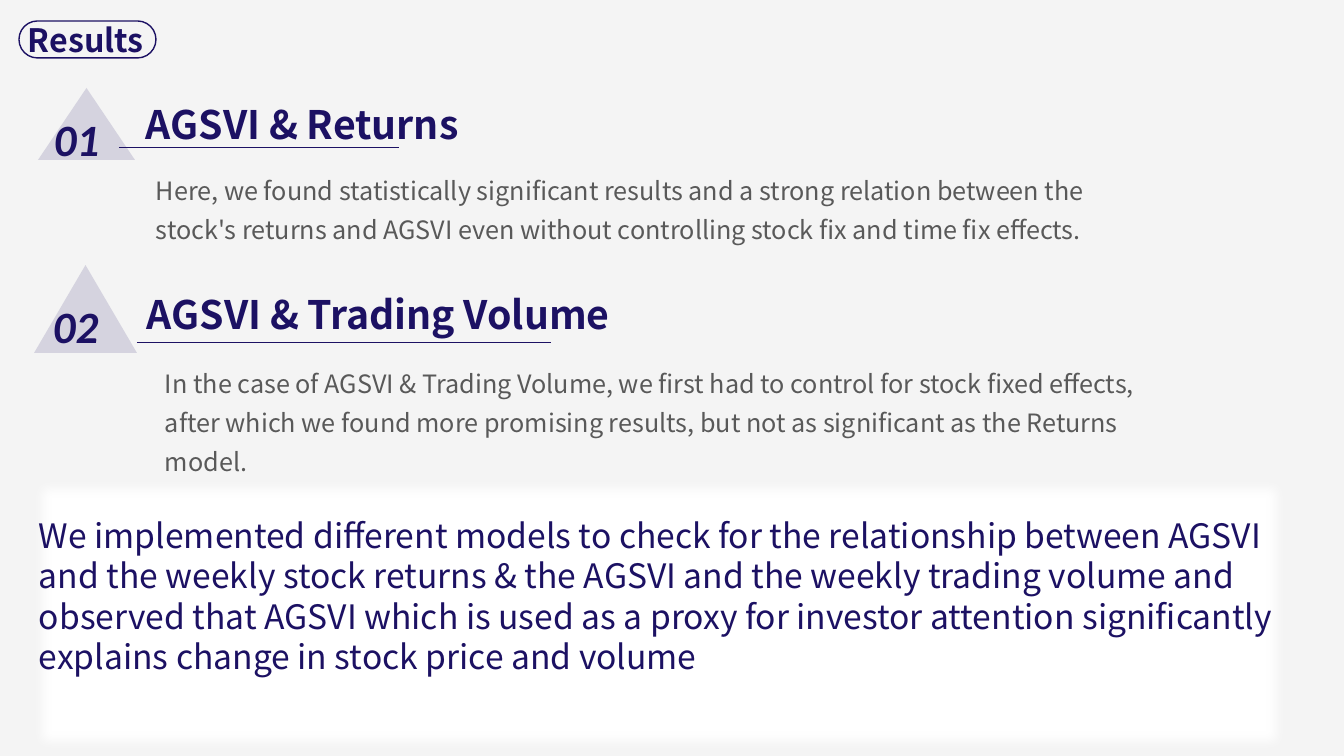
import pptx
import pptx.util
import pptx.dml.color
import pptx.enum.shapes
import pptx.enum.text
import pptx.oxml.ns
from lxml import etree

NAVY = pptx.dml.color.RGBColor(0x1C, 0x11, 0x63)
GRAY = pptx.dml.color.RGBColor(0x59, 0x59, 0x59)
WHITE = pptx.dml.color.RGBColor(0xFF, 0xFF, 0xFF)
PAPER = pptx.dml.color.RGBColor(0xF4, 0xF4, 0xF4)
SANS = "Noto Sans CJK SC"
KINDS = pptx.enum.shapes.MSO_SHAPE
ALIGN = pptx.enum.text.PP_ALIGN
ANCHOR = pptx.enum.text.MSO_ANCHOR

TITLE = {"name": SANS, "size": 23, "bold": True, "color": NAVY}
HEAD = {"name": SANS, "size": 28, "bold": True, "color": NAVY}
BODY = {"name": SANS, "size": 18, "bold": False, "color": GRAY}
NUMBER = {"name": "Calibri", "size": 32, "bold": True, "italic": True, "color": NAVY}
CLOSING = {"name": SANS, "size": 24, "bold": False, "color": NAVY}


def px(*vals):
    """Turn px into EMU, at 100.8 px to the inch."""
    return [round(v * 914400 / 100.8) for v in vals]


def write(shape, text, style, align=ALIGN.LEFT, anchor=ANCHOR.TOP, space=1.0):
    frame = shape.text_frame
    frame.word_wrap = True
    frame.auto_size = pptx.enum.text.MSO_AUTO_SIZE.NONE
    frame.vertical_anchor = anchor
    para = frame.paragraphs[0]
    para.alignment = align
    para.line_spacing = space
    run = para.add_run()
    run.text = text
    for key, val in style.items():
        if key == "color":
            run.font.color.rgb = val
        else:
            setattr(run.font, key, pptx.util.Pt(val) if key == "size" else val)


deck = pptx.Presentation()
deck.slide_width, deck.slide_height = px(1344, 756)
slide = deck.slides.add_slide(deck.slide_layouts[5])
slide.background.fill.solid()
slide.background.fill.fore_color.rgb = PAPER
shapes = slide.shapes

# Title in its pill
title = shapes.title
title.left, title.top, title.width, title.height = px(1, 15, 170, 50)
write(title, "Results", TITLE, ALIGN.CENTER)

pill = shapes.add_shape(KINDS.ROUNDED_RECTANGLE, *px(19, 21, 137, 37))
pill.adjustments[0] = 0.5
pill.shadow.inherit = False
pill.fill.background()
pill.line.color.rgb = NAVY
pill.line.width = pptx.util.Pt(1)

# Numbered findings: text, then px boxes of each part
finds = [
    ("01", "AGSVI & Returns",
     "Here, we found statistically significant results and a strong relation "
     "between the stock's returns and AGSVI even without controlling stock fix "
     "and time fix effects.",
     (38, 88, 97, 72), (44, 107, 89, 65), (136, 95, 1000, 57),
     (146, 161, 1010, 87), (119, 147, 399, 147)),
    ("02", "AGSVI & Trading Volume",
     "In the case of AGSVI & Trading Volume, we first had to control for stock "
     "fixed effects, after which we found more promising results, but not as "
     "significant as the Returns model.",
     (34, 265, 103, 88), (43, 294, 95, 65), (137, 285, 1000, 57),
     (155, 354, 1010, 87), (137, 342, 551, 342)),
]
for num, head, body, peak, spot, top, block, rule in finds:
    mark = shapes.add_shape(KINDS.ISOSCELES_TRIANGLE, *px(*peak))
    mark.shadow.inherit = False
    mark.line.fill.background()
    mark.fill.solid()
    mark.fill.fore_color.rgb = NAVY
    tint = mark.fill._xPr.find(".//" + pptx.oxml.ns.qn("a:srgbClr"))
    etree.SubElement(tint, pptx.oxml.ns.qn("a:alpha"), val="14000")

    write(shapes.add_textbox(*px(*spot)), num, NUMBER)
    write(shapes.add_textbox(*px(*top)), head, HEAD)
    write(shapes.add_textbox(*px(*block)), body, BODY, space=1.3)

    line = shapes.add_connector(pptx.enum.shapes.MSO_CONNECTOR.STRAIGHT, *px(*rule))
    line.line.color.rgb = NAVY
    line.line.width = pptx.util.Pt(0.5)
    etree.SubElement(line._element.spPr, pptx.oxml.ns.qn("a:effectLst"))

# Closing panel with soft edges
panel = shapes.add_shape(KINDS.RECTANGLE, *px(29, 475, 1262, 281))
panel.shadow.inherit = False
panel.fill.solid()
panel.fill.fore_color.rgb = WHITE
panel.line.fill.background()
glow = panel._element.spPr.find(pptx.oxml.ns.qn("a:effectLst"))
etree.SubElement(glow, pptx.oxml.ns.qn("a:softEdge"), rad="112500")
panel.text_frame.margin_bottom = px(45)[0]
write(panel,
      "We implemented different models to check for the relationship between "
      "AGSVI and the weekly stock returns & the AGSVI and the weekly trading "
      "volume and observed that AGSVI which is used as a proxy for investor "
      "attention significantly explains change in stock price and volume",
      CLOSING, anchor=ANCHOR.MIDDLE)

deck.save("out.pptx")
